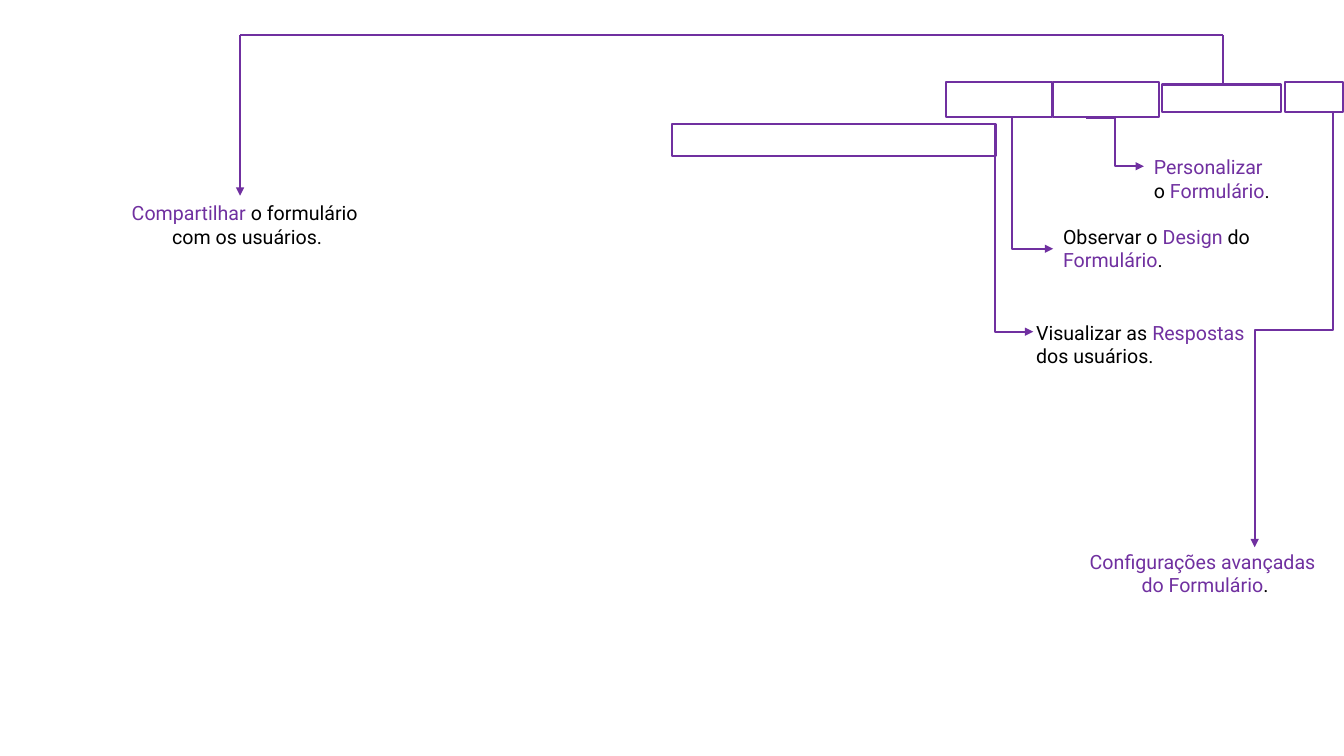
from pptx import Presentation
from pptx.dml.color import RGBColor
from pptx.enum.shapes import MSO_CONNECTOR, MSO_SHAPE
from pptx.enum.text import MSO_AUTO_SIZE, PP_ALIGN
from pptx.oxml.ns import qn
from pptx.util import Cm, Pt
from lxml import etree

PURPLE = RGBColor(0x70, 0x30, 0xA0)
BLACK = RGBColor(0, 0, 0)
LEFT, CENTER = PP_ALIGN.LEFT, PP_ALIGN.CENTER
RECT = MSO_SHAPE.RECTANGLE
STRAIGHT, ELBOW = MSO_CONNECTOR.STRAIGHT, MSO_CONNECTOR.ELBOW
FIT = MSO_AUTO_SIZE.SHAPE_TO_FIT_TEXT
FONT, SIZE, WIDTH = "Roboto", Pt(14), Pt(1.5)
HIGH = 1.45

BOXES = [
    (16.94, 3.12, 8.15, 0.81),
    (23.85, 2.06, 2.67, 0.89),
    (26.54, 2.06, 2.67, 0.89),
    (32.38, 2.06, 1.47, 0.76),
    (29.29, 2.13, 3.0, 0.69),
]

LABELS = [
    (25.86, 7.95, 5.94, False, LEFT, [
        [("Visualizar as ", BLACK), ("Respostas", PURPLE)],
        [("dos usuários.", BLACK)]]),
    (26.54, 5.54, 5.38, True, LEFT, [
        [("Observar o ", BLACK), ("Design ", PURPLE), ("do", BLACK)],
        [("Formulário", PURPLE), (".", BLACK)]]),
    (28.83, 3.78, 3.48, False, LEFT, [
        [("Personalizar", PURPLE)],
        [("o ", BLACK), ("Formulário", PURPLE), (".", BLACK)]]),
    (27.13, 13.72, 6.48, True, CENTER, [
        [("Configurações avançadas ", PURPLE)],
        [("do Formulário", PURPLE), (".", BLACK)]]),
    (3.02, 4.95, 6.3, False, CENTER, [
        [("Compartilhar", PURPLE), (" o formulário", BLACK)],
        [(" com os usuários.", BLACK)]]),
]

LINES = [
    (6.05, 0.89, 6.05, 4.93, True),
    (6.05, 0.89, 30.81, 0.89, False),
    (30.81, 2.13, 30.81, 0.89, False),
]

DROPS = [
    (25.07, 3.96, 26.04, 8.36, "bentConnector2"),
    (25.5, 2.97, 26.54, 6.27, "bentConnector2"),
    (33.6, 2.84, 31.62, 13.79, "bentConnector3"),
]
STEP = (27.38, 2.97, 28.83, 4.19)


def add_box(slide, place):
    box = slide.shapes.add_shape(RECT, *map(Cm, place))
    box.shadow.inherit = False
    box.fill.background()
    box.line.color.rgb = PURPLE
    box.line.width = WIDTH


def add_label(slide, x, y, wide, wrap, align, rows):
    frame = slide.shapes.add_textbox(Cm(x), Cm(y), Cm(wide), Cm(HIGH)).text_frame
    frame.word_wrap = wrap
    frame.auto_size = FIT
    for i, row in enumerate(rows):
        para = frame.add_paragraph() if i else frame.paragraphs[0]
        para.alignment = align
        para.font.name = FONT
        para.font.size = SIZE
        for text, color in row:
            run = para.add_run()
            run.text = text
            run.font.color.rgb = color


def add_line(slide, kind, ends, arrow):
    line = slide.shapes.add_connector(kind, *map(Cm, ends))
    line.line.color.rgb = PURPLE
    line.line.width = WIDTH
    props = line._element.spPr
    if arrow:
        tail = etree.SubElement(props.find(qn("a:ln")), qn("a:tailEnd"))
        tail.set("type", "triangle")
    etree.SubElement(props, qn("a:effectLst"))
    return props


def add_drop(slide, x1, y1, x2, y2, form):
    mid_x, mid_y = (x1 + x2) / 2, (y1 + y2) / 2
    half_w, half_h = (y2 - y1) / 2, abs(x2 - x1) / 2
    ends = (mid_x - half_w, mid_y - half_h, mid_x + half_w, mid_y + half_h)
    props = add_line(slide, ELBOW, ends, True)
    props.find(qn("a:prstGeom")).set("prst", form)
    frame = props.find(qn("a:xfrm"))
    right = x2 > x1
    frame.set("rot", str((270 if right else 90) * 60000))
    if right:
        frame.set("flipH", "1")


def main():
    deck = Presentation()
    deck.slide_width, deck.slide_height = Cm(33.87), Cm(19.05)
    slide = deck.slides.add_slide(deck.slide_layouts[6])
    for place in BOXES:
        add_box(slide, place)
    for label in LABELS:
        add_label(slide, *label)
    for *ends, arrow in LINES:
        add_line(slide, STRAIGHT, ends, arrow)
    for drop in DROPS:
        add_drop(slide, *drop)
    add_line(slide, ELBOW, STEP, True)
    deck.save("out.pptx")


if __name__ == "__main__":
    main()
